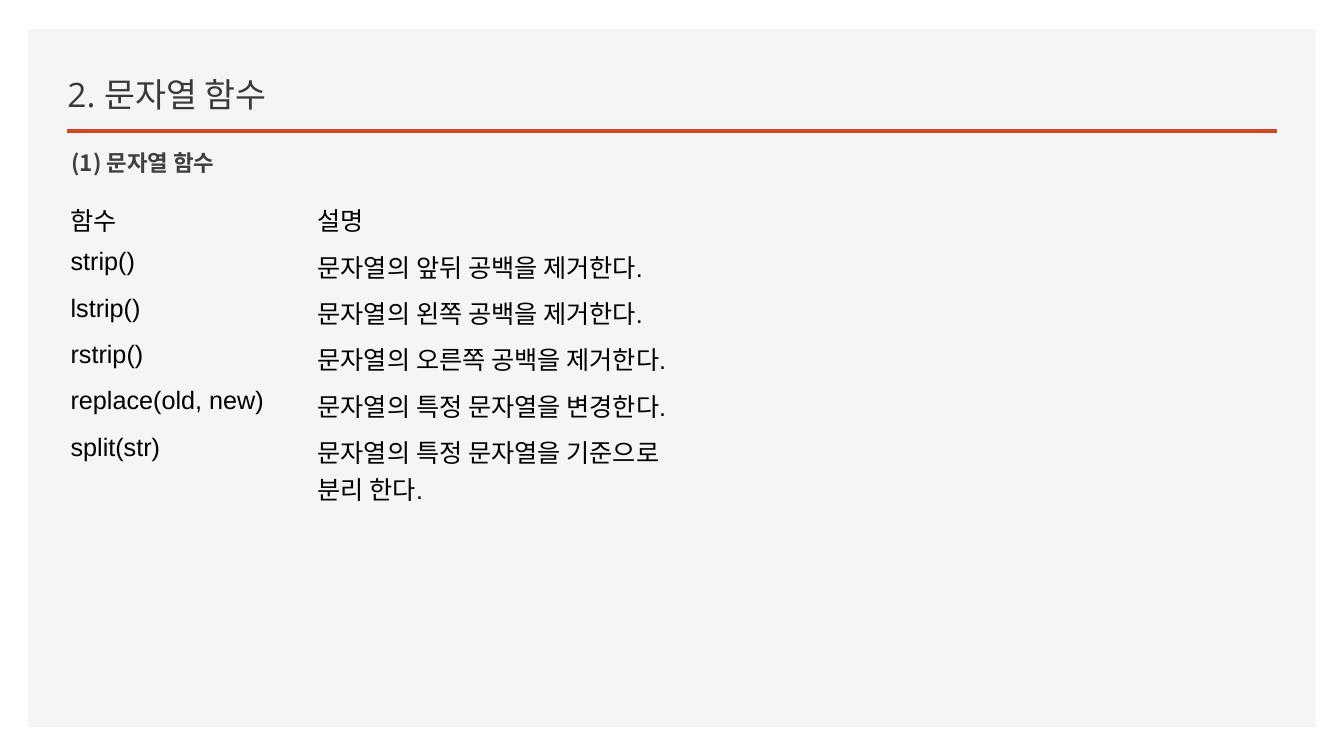
from lxml.etree import SubElement
from pptx import Presentation
from pptx.dml.color import RGBColor
from pptx.enum.shapes import MSO_CONNECTOR, MSO_SHAPE
from pptx.enum.text import MSO_ANCHOR
from pptx.oxml.ns import qn
from pptx.util import Pt

PX = 9144  # 100 px to the inch
KOREAN_FONT = "Noto Sans CJK KR"
COLORS = {
    "panel": "F5F5F5",
    "rule": "D24726",
    "title": "3A3838",
    "subtitle": "3F3F3F",
    "table": "000000",
}


def color(name):
    return RGBColor.from_string(COLORS[name])


def write(frame, text, size, ink, font="Arial", bold=False, spacing=1.0,
          anchor=MSO_ANCHOR.TOP):
    frame.word_wrap = True
    frame.vertical_anchor = anchor
    paragraph = frame.paragraphs[0]
    paragraph.line_spacing = spacing
    run = paragraph.add_run()
    run.text = text
    run.font.size = Pt(size)
    run.font.bold = bold
    run.font.name = font
    run.font.color.rgb = color(ink)
    SubElement(run.font._element, qn("a:ea"), typeface=KOREAN_FONT)


presentation = Presentation()
presentation.slide_width = 1333 * PX
presentation.slide_height = 750 * PX
slide = presentation.slides.add_slide(presentation.slide_layouts[6])

# Background panel
panel = slide.shapes.add_shape(
    MSO_SHAPE.RECTANGLE, 28 * PX, 29 * PX, 1277 * PX, 692 * PX)
panel.shadow.inherit = False
panel.fill.solid()
panel.fill.fore_color.rgb = color("panel")
panel.line.fill.background()

# Rule under the title
rule = slide.shapes.add_connector(
    MSO_CONNECTOR.STRAIGHT, 66 * PX, 130 * PX, 1267 * PX, 130 * PX)
rule.line.color.rgb = color("rule")
rule.line.width = Pt(2.25)
SubElement(rule._element.spPr, qn("a:effectLst"))

# Title and subtitle
title = slide.shapes.add_textbox(57 * PX, 49 * PX, 485 * PX, 70 * PX)
write(title.text_frame, "2. 문자열 함수", size=24, ink="title",
      font="Open Sans", spacing=0.9, anchor=MSO_ANCHOR.BOTTOM)
subtitle = slide.shapes.add_textbox(61 * PX, 140 * PX, 835 * PX, 35 * PX)
write(subtitle.text_frame, "(1) 문자열 함수", size=16, ink="subtitle",
      font=KOREAN_FONT, bold=True, spacing=1.12)

# Table of string functions
FUNCTIONS = [
    ("함수", "설명"),
    ("strip()", "문자열의 앞뒤 공백을 제거한다."),
    ("lstrip()", "문자열의 왼쪽 공백을 제거한다."),
    ("rstrip()", "문자열의 오른쪽 공백을 제거한다."),
    ("replace(old, new)", "문자열의 특정 문자열을 변경한다."),
    ("split(str)", "문자열의 특정 문자열을 기준으로 분리 한다."),
]
COLUMN_WIDTHS = [245, 398]
ROW_HEIGHTS = [46] * 5 + [83]

table = slide.shapes.add_table(
    len(FUNCTIONS), len(COLUMN_WIDTHS), 60 * PX, 195 * PX,
    sum(COLUMN_WIDTHS) * PX, sum(ROW_HEIGHTS) * PX).table
table.first_row = False
table.horz_banding = False
for column, width in zip(table.columns, COLUMN_WIDTHS):
    column.width = width * PX
for row, height, texts in zip(table.rows, ROW_HEIGHTS, FUNCTIONS):
    row.height = height * PX
    for cell, text in zip(row.cells, texts):
        write(cell.text_frame, text, size=18, ink="table")
        # Borders off, then no fill
        properties = cell._tc.get_or_add_tcPr()
        for side in ("a:lnL", "a:lnR", "a:lnT", "a:lnB"):
            SubElement(SubElement(properties, qn(side)), qn("a:noFill"))
        cell.fill.background()

presentation.save("out.pptx")
